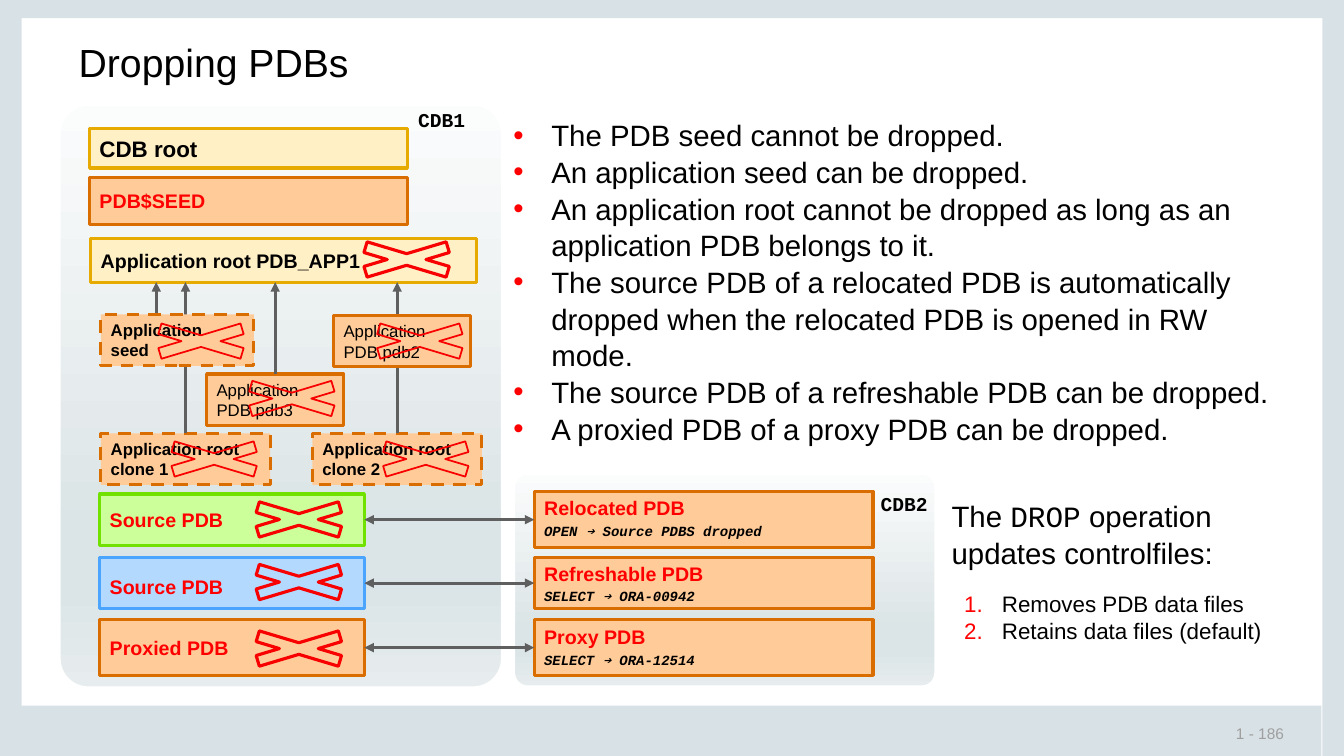
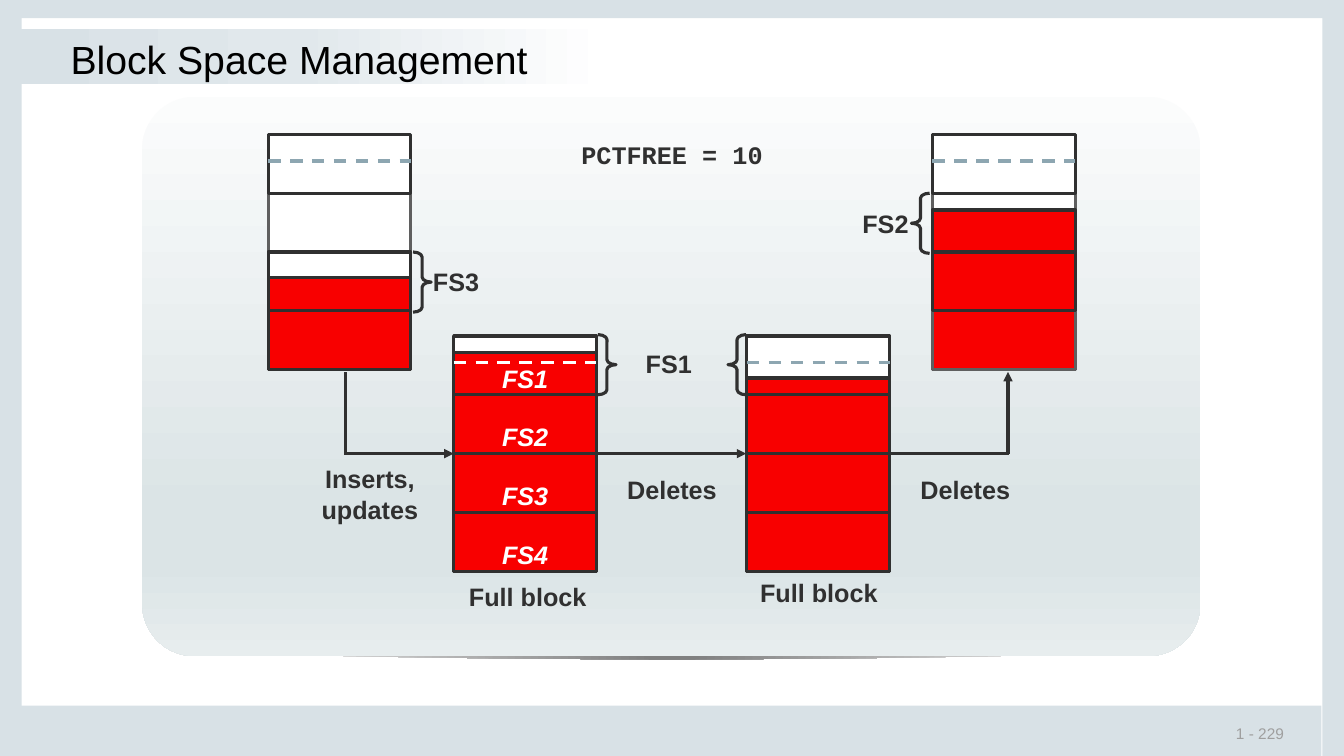
from lxml.etree import SubElement
from pptx import Presentation
from pptx.dml.color import RGBColor
from pptx.enum.dml import MSO_LINE
from pptx.enum.shapes import MSO_CONNECTOR, MSO_SHAPE
from pptx.enum.text import MSO_ANCHOR, MSO_AUTO_SIZE, PP_ALIGN
from pptx.oxml.ns import qn
from pptx.util import Pt

COLORS = {
    "band": "D8E1E6", "white": "FFFFFF", "black": "000000", "number": "9F9F9F",
    "ink": "303030", "gray": "5F5F5F", "dash": "8DA6B1",
    "red": "FF0000", "block": "F80000",
    "yellow": "FFF0C5", "gold": "E6AA00", "peach": "FFCC99", "orange": "DA6D00",
    "lime": "CCFF99", "green": "71E200", "sky": "B3D9FF", "blue": "4BA5FF",
}
PANEL = [(0, "FBFCFC"), (74, "DBE4E6"), (83, "DBE4E6"), (100, "E7EDEE")]
TITLE_BAND = [(0, "D8E1E6"), (47, "E1E8EC"), (100, "FFFFFF")]
PANEL_SHADOW = [(4, "808080"), (100, "FFFFFF")]


def paint(shape, fill=None, line=None, weight=2.25, dashed=False, heads=(), angle=90):
    """Format a shape or connector; a list as fill is a gradient, radial if angle is None."""
    properties = shape.element.spPr
    if line:
        shape.line.color.rgb = RGBColor.from_string(COLORS[line])
        shape.line.width = Pt(weight)
        if dashed:
            shape.line.dash_style = MSO_LINE.DASH
        for head in heads:
            SubElement(properties.find(qn("a:ln")), qn(f"a:{head}"), type="triangle")
    else:
        shape.line.fill.background()
    if shape.element.tag == qn("p:cxnSp"):
        SubElement(properties, qn("a:effectLst"))
        return
    shape.shadow.inherit = False
    if isinstance(fill, list):
        shape.fill.gradient()
        gradient = properties.find(qn("a:gradFill"))
        for child in list(gradient):
            gradient.remove(child)
        stops = SubElement(gradient, qn("a:gsLst"))
        for position, color in fill:
            stop = SubElement(stops, qn("a:gs"), pos=str(position * 1000))
            SubElement(stop, qn("a:srgbClr"), val=color)
        if angle is None:
            circle = SubElement(gradient, qn("a:path"), path="circle")
            SubElement(circle, qn("a:fillToRect"), l="50000", t="50000", r="50000", b="50000")
        else:
            SubElement(gradient, qn("a:lin"), ang=str(angle * 60000), scaled="0")
    elif fill:
        shape.fill.solid()
        shape.fill.fore_color.rgb = RGBColor.from_string(COLORS[fill])
    else:
        shape.fill.background()


def write(shape, text, size, color="black", bold=False, italic=False, font="Arial",
          align=PP_ALIGN.LEFT, anchor=MSO_ANCHOR.TOP, wrap=True):
    """Add a paragraph; text is a string or a list of (string, font) runs."""
    frame = shape.text_frame
    frame.word_wrap = wrap
    frame.auto_size = MSO_AUTO_SIZE.NONE
    frame.vertical_anchor = anchor
    paragraph = frame.paragraphs[0]
    if paragraph.runs:
        paragraph = frame.add_paragraph()
    paragraph.alignment = align
    for words, run_font in [(text, font)] if isinstance(text, str) else text:
        for index, part in enumerate(words.split("\n")):
            if index:
                paragraph.add_line_break()
            run = paragraph.add_run()
            run.text = part
            run.font.name = run_font
            run.font.size = Pt(size)
            run.font.bold = bold
            run.font.italic = italic
            run.font.color.rgb = RGBColor.from_string(COLORS[color])
    return paragraph


presentation = Presentation()
presentation.slide_width = Pt(960)
presentation.slide_height = Pt(540)

# Titles and page numbers
slides = []
for layout, title, number, inset in [
    (3, "Dropping PDBs", "1 - 186", (7.2, 3.6)),
    (5, "Block Space Management", "1 - 229", (1.44, 1.44)),
]:
    slide = presentation.slides.add_slide(presentation.slide_layouts[layout])
    slides.append(slide)
    shape = slide.shapes.title
    shape.left, shape.top, shape.width, shape.height = map(Pt, (49, 23.5, 862, 66))
    shape.text_frame.margin_left, shape.text_frame.margin_top = map(Pt, inset)
    write(shape, title, 28)
    shape = slide.shapes.add_textbox(*map(Pt, (873.4, 513, 85, 21)))
    shape.text_frame.margin_left = Pt(9.4)
    write(shape, number, 11, "number", anchor=MSO_ANCHOR.MIDDLE)
drop_slide, block_slide = slides

# Frame bands on the master
master_tree = presentation.slide_master.shapes.element
for index, box in enumerate([(944.6, 0, 15.4, 540), (0, 0, 15.4, 540),
                             (0, 504, 944, 36), (0, 0, 960, 13)]):
    band = drop_slide.shapes.add_shape(MSO_SHAPE.RECTANGLE, *map(Pt, box))
    paint(band, "band")
    band.element.nvSpPr.cNvPr.id = 20 + index
    master_tree.insert(2 + index, band.element)

# Slide 1: container panels and their names
shapes = drop_slide.shapes
for box in [(366.5, 337.7, 302.4, 153.4), (41.8, 74.2, 317.5, 417.6)]:
    panel = shapes.add_shape(MSO_SHAPE.ROUNDED_RECTANGLE, *map(Pt, box))
    panel.adjustments[0] = 0.067
    paint(panel, PANEL, "white", 3)
for name, left, top in [("CDB1", 291.6, 77), ("CDB2", 622, 351.4)]:
    shape = shapes.add_textbox(*map(Pt, (left, top, 67, 21.6)))
    write(shape, name, 14, bold=True, font="Courier New").line_spacing = 0.8

# Slide 1: containers of CDB1, with the arrows running behind the last two
containers = {}
for text, box, fill, line, size, color, bold, dashed in [
    ("CDB root", (64, 92, 227, 28), "yellow", "gold", 16, "black", True, False),
    ("PDB$SEED", (64, 126.7, 227, 33.8), "peach", "orange", 14, "red", True, False),
    ("Application root PDB_APP1", (64.8, 170.6, 275.8, 31), "yellow", "gold", 14, "black", True, False),
    ("Application root clone 1", (72, 309.6, 121, 36.7), "peach", "orange", 12, "black", True, True),
    ("Application root clone 2", (223.2, 309.6, 121, 36.7), "peach", "orange", 12, "black", True, True),
    ("Application PDB pdb3", (147.6, 267.1, 97.9, 36.7), "peach", "orange", 12, "black", False, False),
    ("Application seed", (72, 224.6, 109.4, 36.7), "peach", "orange", 12, "black", True, True),
    ("Application PDB pdb2", (238.3, 225.4, 97.9, 36.7), "peach", "orange", 12, "black", False, False),
]:
    if text == "Application seed":
        for x, source in [(132.5, "Application root clone 1"), (283.7, "Application root clone 2"),
                          (196.55, "Application PDB pdb3"), (111.6, None)]:
            arrow = shapes.add_connector(MSO_CONNECTOR.STRAIGHT, Pt(x), Pt(226), Pt(x), Pt(201.6))
            if source:
                arrow.begin_connect(containers[source], 0)
            paint(arrow, line="gray", heads=["tailEnd"])
    shape = shapes.add_shape(MSO_SHAPE.RECTANGLE, *map(Pt, box))
    paint(shape, fill, line, dashed=dashed)
    write(shape, text, size, color, bold, anchor=MSO_ANCHOR.MIDDLE)
    containers[text] = shape

# Slide 1: source PDBs linked to their counterparts in CDB2
for (middle, left_name, fill, line, left_height, inset,
     right_name, right_height, caption, caption_top) in [
    (371.2, "Source PDB", "lime", "green", 36.7, 3.6,
     "Relocated PDB", 40.3, "OPEN ➔ Source PDBS dropped", 369.4),
    (416.5, "Source PDB", "sky", "blue", 36.7, 9,
     "Refreshable PDB", 36.7, "SELECT ➔ ORA-00942", 416.2),
    (462.6, "Proxied PDB", "peach", "orange", 39.6, 3.6,
     "Proxy PDB", 39.6, "SELECT ➔ ORA-12514", 461.5),
]:
    source = shapes.add_shape(MSO_SHAPE.RECTANGLE, Pt(71.3), Pt(middle - left_height / 2),
                              Pt(189), Pt(left_height))
    paint(source, fill, line)
    source.text_frame.margin_top = Pt(inset)
    write(source, left_name, 14, "red", True, anchor=MSO_ANCHOR.MIDDLE)
    target = shapes.add_shape(MSO_SHAPE.RECTANGLE, Pt(381.6), Pt(middle - right_height / 2),
                              Pt(242), Pt(right_height))
    paint(target, "peach", "orange")
    write(target, right_name, 14, "red", True)
    shape = shapes.add_textbox(*map(Pt, (381.6, caption_top, 249, 19.4)))
    write(shape, caption, 10, bold=True, italic=True, font="Courier New")
    arrow = shapes.add_connector(MSO_CONNECTOR.STRAIGHT, 0, 0, 0, 0)
    arrow.begin_connect(target, 1)
    arrow.end_connect(source, 3)
    paint(arrow, line="gray", heads=["headEnd", "tailEnd"])

# Slide 1: crosses on everything that can be dropped
for left, top, weight in [
    (234, 168.5, 2.25), (157, 354.2, 2.25), (157, 398.9, 2.25), (157, 446.4, 2.25),
    (152, 267.8, 1.25), (87.1, 226.8, 1.25), (243.4, 226.8, 1.25),
    (96.5, 311, 1.25), (247.7, 311, 1.25),
]:
    cross = shapes.add_shape(MSO_SHAPE.MATH_MULTIPLY, *map(Pt, (left, top, 113, 33.8)))
    paint(cross, line="block", weight=weight)

# Slide 1: the two lists
for index, box, items in [
    (1, (350.6, 79.2, 567.4, 250), [
        ("The PDB seed cannot be dropped.", 21, "•"),
        ("An application seed can be dropped.", 21, "•"),
        ("An application root cannot be dropped as long as an application PDB belongs to it.", 21, "•"),
        ("The source PDB of a relocated PDB is automatically dropped when the relocated PDB "
         "is opened in RW mode.", 21, "•"),
        ("The source PDB of a refreshable PDB can be dropped.", 21, "•"),
        ("A proxied PDB of a proxy PDB can be dropped.", 21, "•"),
    ]),
    (2, (672.5, 351.4, 238.3, 122.4), [
        ([("The ", "Arial"), ("DROP", "Courier New"),
          (" operation updates controlfiles:", "Arial")], 21, None),
        ("Removes PDB data files", 16, "1."),
        ("Retains data files (default)", 16, "1."),
    ]),
]:
    body = drop_slide.placeholders[index]
    body.left, body.top, body.width, body.height = map(Pt, box)
    previous = None
    for text, size, bullet in items:
        paragraph = write(body, text, size)
        paragraph.line_spacing = 1.04
        paragraph.space_before = Pt(13 if previous == 21 and size == 16 else 0)
        previous = size
        properties = paragraph._p.get_or_add_pPr()
        properties.set("marL", str(Pt(36) if bullet else 0))
        properties.set("indent", str(Pt(-27) if bullet else 0))
        if not bullet:
            SubElement(properties, qn("a:buNone"))
            continue
        SubElement(SubElement(properties, qn("a:buClr")), qn("a:srgbClr"), val=COLORS["red"])
        SubElement(properties, qn("a:buFont"), typeface="Arial")
        if bullet == "•":
            SubElement(properties, qn("a:buChar"), char=bullet)
        else:
            SubElement(properties, qn("a:buAutoNum"), type="arabicPeriod")

# Slide 2: title band, panel and the curved shadow under it
shapes = block_slide.shapes
title_band = shapes.add_shape(MSO_SHAPE.RECTANGLE, *map(Pt, (14.4, 20.9, 420.5, 38.9)))
paint(title_band, TITLE_BAND, angle=0)
shapes.element.insert(2, title_band.element)
builder = shapes.build_freeform(Pt(119.5), Pt(465.1))
curve = [(480 + 348 * step / 10, 465.8 + 5.1 * (1 - (step / 10) ** 2)) for step in range(10, -11, -1)]
builder.add_line_segments([(Pt(x), Pt(y)) for x, y in [(840.2, 465.1)] + curve], close=True)
paint(builder.convert_to_shape(), PANEL_SHADOW, angle=None)
panel = shapes.add_shape(MSO_SHAPE.ROUNDED_RECTANGLE, *map(Pt, (101.5, 69.1, 756, 399.6)))
panel.adjustments[0] = 0.094
paint(panel, PANEL)

# Slide 2: flow between the blocks
for start, end, heads in [
    ((247, 324), (247, 265.7), []), ((246, 324), (324, 324), ["tailEnd"]),
    ((425.5, 324), (533, 324), ["tailEnd"]), ((636, 324), (721, 324), []),
    ((720, 324), (720, 265.7), ["tailEnd"]),
]:
    flow = shapes.add_connector(MSO_CONNECTOR.STRAIGHT, *map(Pt, start + end))
    paint(flow, line="ink", heads=heads)

# Slide 2: each block has four quarters, a used part and a dashed limit
QUARTER, BLOCK_WIDTH = 42, 102
for left, top, white_quarters, gray_quarters, free, limit_color in [
    (191.5, 96, 3, [1], 102, "dash"), (324, 240, 1, [], 12, "white"),
    (533.5, 240, 1, [], 30, "dash"), (666, 96, 2, [1, 3], 54, "dash"),
]:
    quarters = sorted(range(4), key=lambda quarter: quarter not in gray_quarters)
    parts = [(quarter * QUARTER, QUARTER, "white" if quarter < white_quarters else None,
              "gray" if quarter in gray_quarters else "ink") for quarter in quarters]
    used = (free, 4 * QUARTER - free, "block", "ink")
    parts = [part for part in parts if part[2]] + [used] + [part for part in parts if not part[2]]
    for offset, height, fill, line in parts:
        shape = shapes.add_shape(MSO_SHAPE.RECTANGLE,
                                 *map(Pt, (left, top + offset, BLOCK_WIDTH, height)))
        paint(shape, fill, line)
    limit = shapes.add_connector(MSO_CONNECTOR.STRAIGHT, *map(
        Pt, (left, top + 19, left + BLOCK_WIDTH, top + 19)))
    paint(limit, line=limit_color, dashed=True)

# Slide 2: braces and labels
for preset, left, top in [
    (MSO_SHAPE.LEFT_BRACE, 651, 138), (MSO_SHAPE.RIGHT_BRACE, 295, 180),
    (MSO_SHAPE.RIGHT_BRACE, 427, 239), (MSO_SHAPE.LEFT_BRACE, 520, 239),
]:
    brace = shapes.add_shape(preset, *map(Pt, (left, top, 13, 43)))
    brace.adjustments[0] = 0.277
    paint(brace, line="ink")
for text, left, top, width, font in [
    ("PCTFREE = 10", 396, 95.8, 168, "Courier New"),
    ("Inserts,\nupdates", 222.5, 327.6, 83.5, "Arial"),
    ("Deletes", 432, 335.5, 96, "Arial"), ("Deletes", 641.5, 335.5, 96, "Arial"),
    ("Full block", 319, 411.8, 116, "Arial"), ("Full block", 527, 409, 116, "Arial"),
    ("FS2", 605.5, 145.4, 54, "Arial"), ("FS3", 298.8, 186.5, 54, "Arial"),
    ("FS1", 450.7, 245.5, 54, "Arial"),
]:
    shape = shapes.add_textbox(*map(Pt, (left, top, width, 50 if "\n" in text else 29)))
    write(shape, text, 18, "ink", True, font=font, align=PP_ALIGN.CENTER)
for index in range(4):
    shape = shapes.add_textbox(*map(Pt, (351.4, 255.6 + QUARTER * index, 47.5, 29)))
    write(shape, f"FS{index + 1}", 18, "white", True, True, align=PP_ALIGN.CENTER, wrap=False)

presentation.save("out.pptx")
